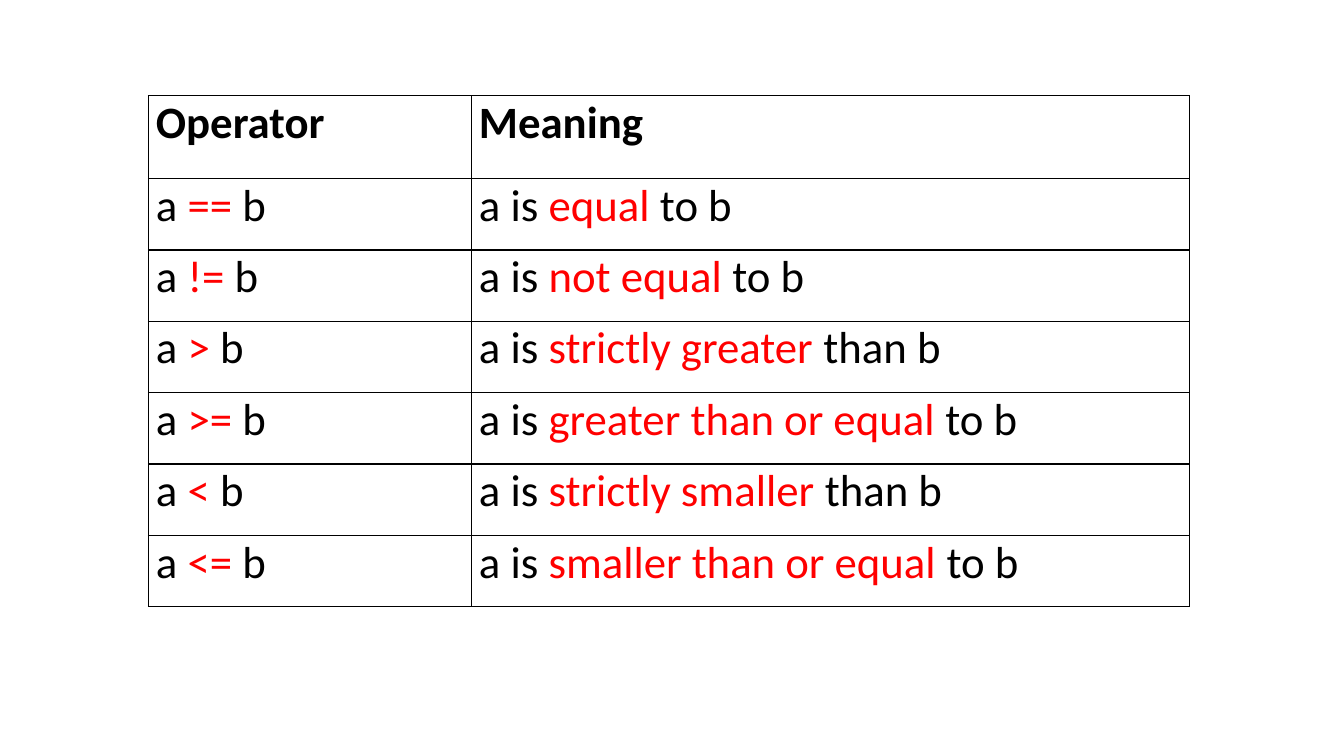
from lxml.etree import SubElement
from pptx import Presentation
from pptx.dml.color import RGBColor
from pptx.enum.text import MSO_ANCHOR as Anchor
from pptx.oxml.ns import qn
from pptx.util import Cm, Pt

BLACK = RGBColor(0x00, 0x00, 0x00)
RED = RGBColor(0xFF, 0x00, 0x00)

HEADINGS = ("Operator", "Meaning")
COMPARISONS = [
    ("==", "equal", "to"),
    ("!=", "not equal", "to"),
    (">", "strictly greater", "than"),
    (">=", "greater than or equal", "to"),
    ("<", "strictly smaller", "than"),
    ("<=", "smaller than or equal", "to"),
]
OPERATOR_WIDTH = Cm(8.14)
HEADER_HEIGHT = Cm(2.09)


def add_text(paragraph, text, color=BLACK, bold=False, size=32, name="Calibri"):
    run = paragraph.add_run()
    run.text = text
    font = run.font
    font.name, font.size, font.bold = name, Pt(size), bold
    font.color.rgb = color


def add_highlighted(paragraph, before, highlight, after):
    """Write black text around a red middle part."""
    add_text(paragraph, before)
    add_text(paragraph, highlight, color=RED)
    add_text(paragraph, after)


def format_cell(cell):
    """Give the cell thin black borders, no fill and tight margins."""
    cell.margin_left = cell.margin_right = Cm(0.19)
    cell.margin_top = cell.margin_bottom = 0
    cell.vertical_anchor = Anchor.TOP
    properties = cell._tc.get_or_add_tcPr()
    for side in ("a:lnL", "a:lnR", "a:lnT", "a:lnB"):
        border = SubElement(properties, qn(side), w=str(Pt(1)))
        fill = SubElement(border, qn("a:solidFill"))
        SubElement(fill, qn("a:srgbClr"), val=str(BLACK))
    cell.fill.background()


def add_operator_table(slide, left, top, width, height):
    row_count = len(COMPARISONS) + 1
    table = slide.shapes.add_table(
        row_count, len(HEADINGS), left, top, width, height).table
    table.horz_banding = False
    table.columns[0].width = OPERATOR_WIDTH
    table.columns[1].width = width - OPERATOR_WIDTH
    for row in table.rows:
        row.height = (height - HEADER_HEIGHT) // len(COMPARISONS)
    table.rows[0].height = HEADER_HEIGHT

    for cell in table.iter_cells():
        format_cell(cell)
    for column, heading in enumerate(HEADINGS):
        add_text(table.cell(0, column).text_frame.paragraphs[0], heading, bold=True)
    for row, (operator, meaning, link) in enumerate(COMPARISONS, start=1):
        expression, sentence = (
            table.cell(row, column).text_frame.paragraphs[0] for column in (0, 1))
        add_highlighted(expression, "a ", operator, " b")
        add_highlighted(sentence, "a is ", meaning, f" {link} b")


def main():
    presentation = Presentation()
    presentation.slide_width = Cm(33.87)
    presentation.slide_height = Cm(19.05)
    blank_layout = presentation.slide_layouts[6]
    slide = presentation.slides.add_slide(blank_layout)
    add_operator_table(slide, Cm(3.74), Cm(2.41), Cm(26.23), Cm(12.88))
    presentation.save("out.pptx")


if __name__ == "__main__":
    main()
